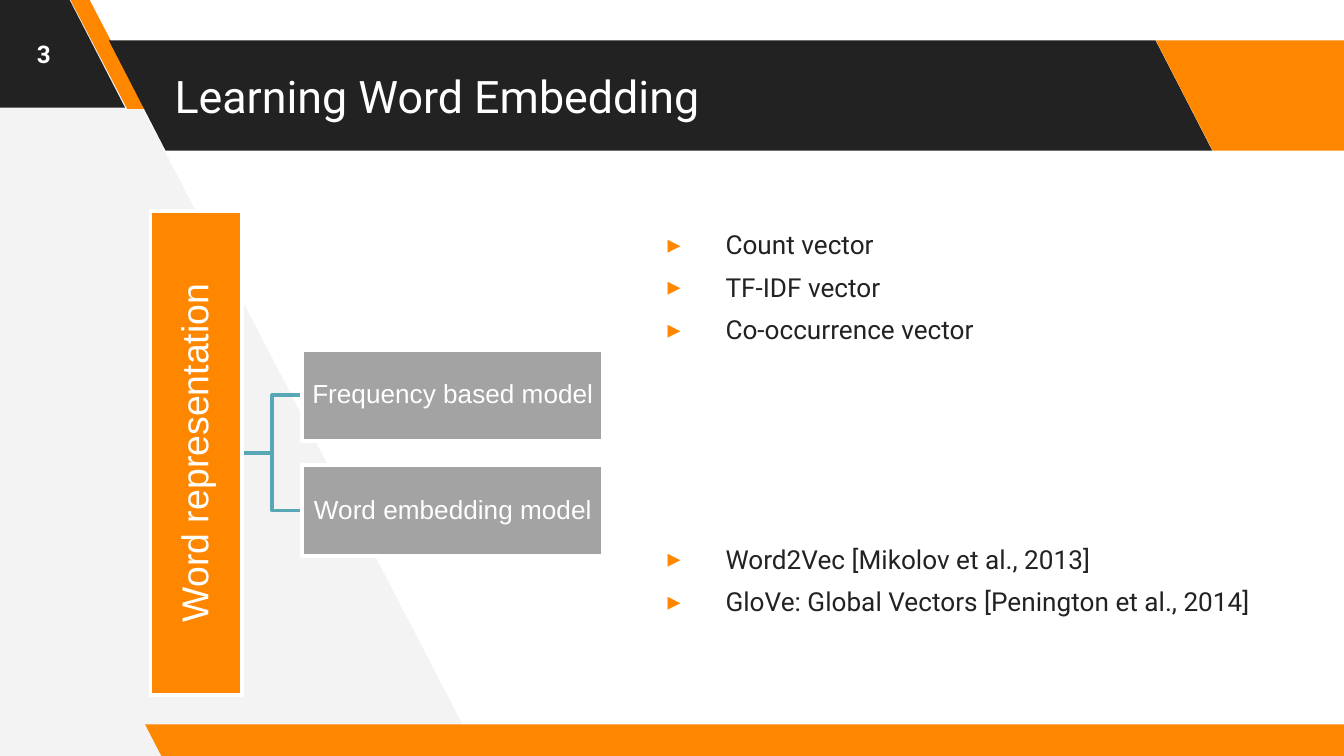
from typing import NamedTuple

from lxml.etree import SubElement
from pptx import Presentation
from pptx.dml.color import RGBColor
from pptx.enum.shapes import MSO_SHAPE
from pptx.enum.text import MSO_ANCHOR, PP_ALIGN
from pptx.oxml.ns import qn
from pptx.util import Pt

WHITE = RGBColor(0xFF, 0xFF, 0xFF)
PALE = RGBColor(0xF3, 0xF3, 0xF3)
DARK = RGBColor(0x22, 0x22, 0x22)
ORANGE = RGBColor(0xFF, 0x87, 0x00)
GREY = RGBColor(0xA3, 0xA3, 0xA3)
TEAL = RGBColor(0x57, 0xA7, 0xB5)


class Frame(NamedTuple):
    left: float
    top: float
    width: float
    height: float

    def lengths(self) -> list:
        return [Pt(value) for value in self]


class Band(NamedTuple):
    frame: Frame
    color: RGBColor
    slant: float = 0.515


class Node(NamedTuple):
    frame: Frame
    text: str
    color: RGBColor
    size: float
    rotation: float = 0


class BulletList(NamedTuple):
    frame: Frame
    items: list[str]


BANDS = [
    Band(Frame(-71.28, -1.44, 138.24, 59.04), DARK),
    Band(Frame(37.44, -0.72, 41.04, 59.04), ORANGE, 0.75),
    Band(Frame(58.32, 21.6, 591.12, 59.04), DARK),
    Band(Frame(619.2, 21.6, 138.24, 59.04), ORANGE),
    Band(Frame(77.76, 388.08, 658.8, 18), ORANGE),
]

# Tree geometry: one upright root, two stacked branches
ROOT_RIGHT, BRANCH_LEFT, TREE_MIDDLE = 129.6, 162, 242.64
BRANCH_WIDTH, BRANCH_HEIGHT, BRANCH_STEP = 161.28, 48.96, 61.7
BRANCH_NAMES = ["Frequency based model", "Word embedding model"]
BRANCH_CENTERS = [TREE_MIDDLE + BRANCH_STEP * side for side in (-0.5, 0.5)]

ROOT = Node(Frame(-24.48, 218.16, 259.2, 48.96), "Word representation", ORANGE, 20, 270)
BRANCHES = [
    Node(Frame(BRANCH_LEFT, center - BRANCH_HEIGHT / 2, BRANCH_WIDTH, BRANCH_HEIGHT), name, GREY, 14)
    for name, center in zip(BRANCH_NAMES, BRANCH_CENTERS)
]

LISTS = [
    BulletList(Frame(345.6, 115.2, 217.44, 83.52),
               ["Count vector", "TF-IDF vector", "Co-occurrence vector"]),
    BulletList(Frame(345.6, 283.68, 337.68, 83.52),
               ["Word2Vec [Mikolov et al., 2013]",
                "GloVe: Global Vectors [Penington et al., 2014]"]),
]


def set_frame(text_frame, inset: float, anchor) -> None:
    formats = {"word_wrap": True, "vertical_anchor": anchor}
    formats |= {f"margin_{side}": Pt(inset) for side in ("left", "top", "right", "bottom")}
    for name, value in formats.items():
        setattr(text_frame, name, value)


def add_span(para, text: str, size: float, color: RGBColor, font: str = "Roboto", bold: bool = False) -> None:
    span = para.add_run()
    span.text = text
    for name, value in {"name": font, "size": Pt(size), "bold": bold}.items():
        setattr(span.font, name, value)
    span.font.color.rgb = color


def add_label(page, frame: Frame, text: str, size: float, align=PP_ALIGN.LEFT, bold: bool = False) -> None:
    box = page.shapes.add_textbox(*frame.lengths())
    set_frame(box.text_frame, 7.2, MSO_ANCHOR.MIDDLE)
    para = box.text_frame.paragraphs[0]
    para.alignment = align
    add_span(para, text, size, WHITE, bold=bold)


def add_outline(page, points: list[tuple[float, float]], closed: bool):
    start, *rest = [(Pt(x), Pt(y)) for x, y in points]
    builder = page.shapes.build_freeform(*start, scale=1.0)
    builder.add_line_segments(rest, close=closed)
    outline = builder.convert_to_shape()
    outline.shadow.inherit = False
    return outline


def add_band(page, band: Band) -> None:
    shape = page.shapes.add_shape(MSO_SHAPE.PARALLELOGRAM, *band.frame.lengths())
    shape.shadow.inherit = False
    shape.adjustments[0] = band.slant
    shape._element.spPr.find(qn("a:xfrm")).set("flipH", "1")
    shape.fill.solid()
    shape.fill.fore_color.rgb = band.color
    shape.line.fill.background()


def add_node(page, node: Node) -> None:
    box = page.shapes.add_shape(MSO_SHAPE.RECTANGLE, *node.frame.lengths())
    box.shadow.inherit = False
    box.rotation = node.rotation
    box.fill.solid()
    box.fill.fore_color.rgb = node.color
    box.line.color.rgb = WHITE
    box.line.width = Pt(2)
    set_frame(box.text_frame, 0.72, MSO_ANCHOR.MIDDLE)
    para = box.text_frame.paragraphs[0]
    para.alignment = PP_ALIGN.CENTER
    para.line_spacing = 0.9
    add_span(para, node.text, node.size, WHITE, "Arial")


def add_elbow(page, end_y: float) -> None:
    bend_x = (ROOT_RIGHT + BRANCH_LEFT) / 2
    points = [(ROOT_RIGHT, TREE_MIDDLE), (bend_x, TREE_MIDDLE), (bend_x, end_y), (BRANCH_LEFT, end_y)]
    elbow = add_outline(page, points, closed=False)
    elbow.fill.background()
    elbow.line.color.rgb = TEAL
    elbow.line.width = Pt(2)


def add_bullets(page, bullets: BulletList) -> None:
    box = page.shapes.add_textbox(*bullets.frame.lengths())
    set_frame(box.text_frame, 7.2, MSO_ANCHOR.TOP)
    for index, item in enumerate(bullets.items):
        para = box.text_frame.add_paragraph() if index else box.text_frame.paragraphs[0]
        para.space_before = Pt(6)
        properties = para._p.get_or_add_pPr()
        properties.set("marL", str(Pt(36)))
        properties.set("indent", str(Pt(-31)))
        color = SubElement(properties, qn("a:buClr"))
        SubElement(color, qn("a:srgbClr"), val=str(ORANGE))
        SubElement(properties, qn("a:buFont"), typeface="Roboto")
        SubElement(properties, qn("a:buChar"), char="▸")
        add_span(para, item, 14, DARK)


def main() -> None:
    deck = Presentation()
    deck.slide_width, deck.slide_height = Pt(720), Pt(405)
    page = deck.slides.add_slide(deck.slide_layouts[6])

    # Backdrop and slanted bands
    backdrop = add_outline(page, [(256.32, 404.64), (44.64, -2.88), (-4.32, -2.88), (-1.44, 407.52)], closed=True)
    backdrop.fill.solid()
    backdrop.fill.fore_color.rgb = PALE
    backdrop.line.fill.background()
    for band in BANDS:
        add_band(page, band)

    # Title and page number
    add_label(page, Frame(86.4, 21.6, 596.16, 59.04), "Learning Word Embedding", 24)
    add_label(page, Frame(0, 0, 46.8, 57.6), "3", 13, PP_ALIGN.CENTER, bold=True)

    # Tree of models
    for center in reversed(BRANCH_CENTERS):
        add_elbow(page, center)
    for node in [ROOT, *BRANCHES]:
        add_node(page, node)

    # Examples of each model
    for bullets in LISTS:
        add_bullets(page, bullets)

    deck.save("out.pptx")


if __name__ == "__main__":
    main()
